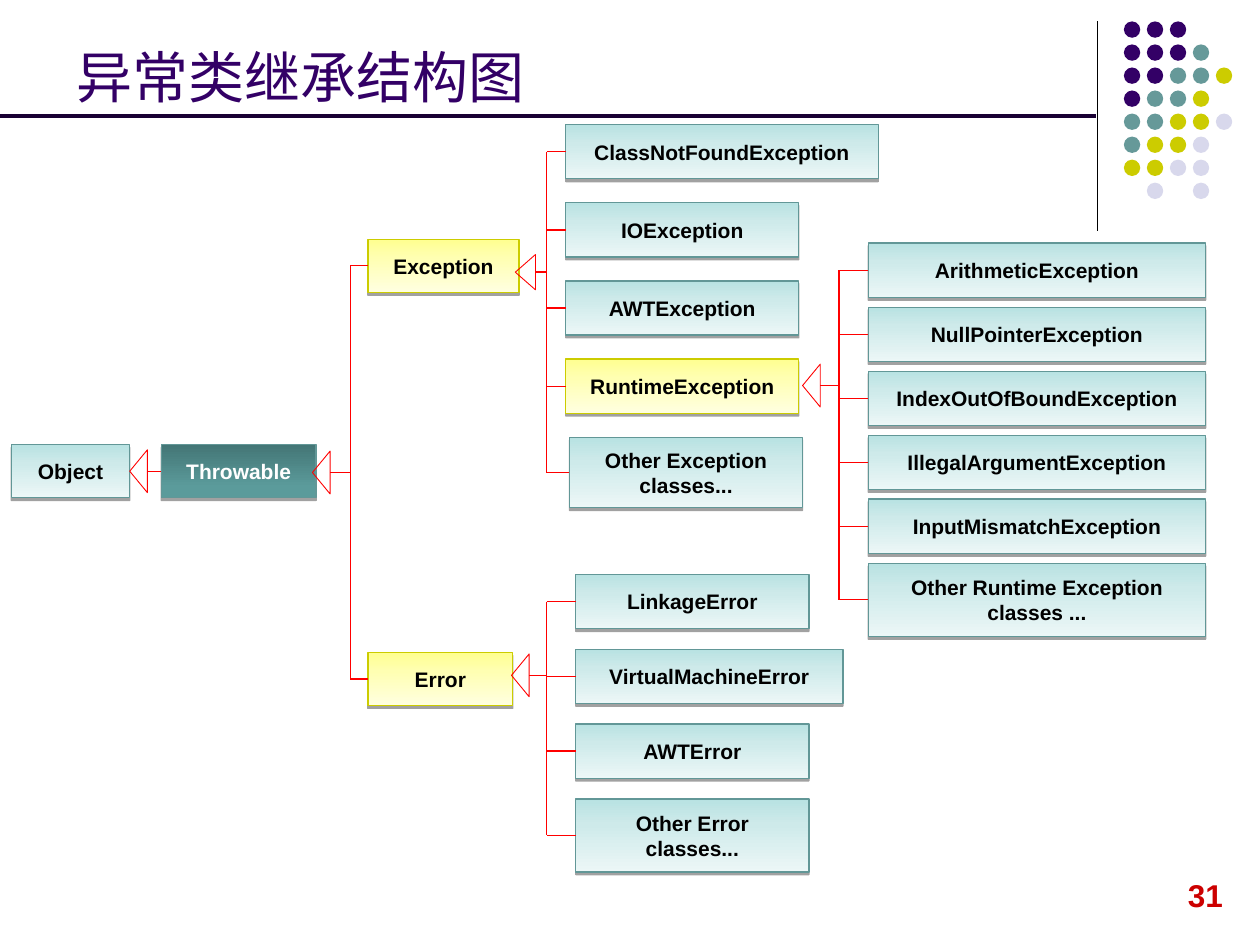
from copy import deepcopy

from lxml.etree import SubElement
from pptx import Presentation
from pptx.dml.color import RGBColor
from pptx.enum.shapes import MSO_CONNECTOR, MSO_SHAPE
from pptx.enum.text import MSO_ANCHOR, PP_ALIGN
from pptx.oxml.ns import qn
from pptx.util import Inches, Pt

CELL = Inches(0.1)
COLUMNS, ROWS = 100, 75
LEFT_SIDE = 1

COLORS = {
    "black": "000000", "white": "FFFFFF", "red": "FF0000", "number": "CC0000",
    "purple": "330066", "rule": "190033", "teal": "669999", "olive": "CCCC00",
    "lavender": "D8D8EC", "teal_edge": "629797",
    "pale_top": "B8E2E2", "pale_mid": "CEEAEA", "pale_end": "ECF7F7",
    "yellow_top": "FFFF90", "yellow_mid": "FFFFB2", "yellow_end": "FFFFE0",
    "dark_top": "447676", "dark_mid": "5B9B9B", "dark_end": "5A9D9D",
}
STYLES = {
    "pale": ("teal_edge", "black", 0.35),
    "yellow": ("olive", "black", 0.35),
    "dark": ("teal_edge", "white", 0.8),
}
DOT_ROWS = ["PPP", "PPPT", "PPTTO", "PTTO", "TTOOL", "TOOL", "OOLL", " L L"]
DOT_COLORS = {"P": "purple", "T": "teal", "O": "olive", "L": "lavender"}


def rgb(name):
    """Look up a palette colour."""
    return RGBColor.from_string(COLORS[name])


def cells(*counts):
    """Turn grid counts into slide lengths."""
    return [round(count * CELL) for count in counts]


def write(frame, text, size, color, font="Arial", bold=True, align=None):
    """Fill a text frame with one paragraph and return it."""
    frame.text = text
    paragraph = frame.paragraphs[0]
    paragraph.alignment = align
    paragraph.font.name = font
    paragraph.font.size = Pt(size)
    paragraph.font.bold = bold
    paragraph.font.color.rgb = rgb(color)
    return paragraph


def draw_line(slide, start, end, color="red", width=0.75, target=None):
    """Draw a straight line, joined to the target's left side if given."""
    line = slide.shapes.add_connector(MSO_CONNECTOR.STRAIGHT, *cells(*start, *end))
    if target is not None:
        line.end_connect(target, LEFT_SIDE)
    line.line.color.rgb = rgb(color)
    line.line.width = Pt(width)
    SubElement(line._element.spPr, qn("a:effectLst"))


def paint_gradient(shape, style):
    """Give a class box its three-stop vertical gradient."""
    shape.fill.gradient()
    shape.fill.gradient_angle = 270
    stop_list = shape._element.spPr.find(".//" + qn("a:gsLst"))
    stop_list.append(deepcopy(stop_list[-1]))
    shades = zip(shape.fill.gradient_stops, ("top", "mid", "end"), (0, STYLES[style][2], 1))
    for stop, part, position in shades:
        stop.color.rgb = rgb(f"{style}_{part}")
        stop.position = position


def cast_shadow(shape):
    """Put a sharp shadow just below a class box."""
    shape.shadow.inherit = False
    effects = shape._element.spPr.find(qn("a:effectLst"))
    shadow = SubElement(effects, qn("a:outerShdw"), dist=str(Pt(1.6)), dir="5400000", rotWithShape="0")
    tone = SubElement(shadow, qn("a:srgbClr"), val=COLORS["black"])
    SubElement(tone, qn("a:alpha"), val="37000")


def draw_class(slide, box, name, style="pale"):
    """Draw one class box and return it."""
    shape = slide.shapes.add_shape(MSO_SHAPE.RECTANGLE, *cells(*box))
    edge, ink, _ = STYLES[style]
    paint_gradient(shape, style)
    shape.line.color.rgb = rgb(edge)
    shape.line.width = Pt(0.75)
    cast_shadow(shape)
    shape.text_frame.word_wrap = True
    shape.text_frame.vertical_anchor = MSO_ANCHOR.MIDDLE
    write(shape.text_frame, name, 12, ink, align=PP_ALIGN.CENTER)
    return shape


def draw_arrow(slide, box, tail, target=None):
    """Draw a hollow left-pointing inheritance arrow with a line to column tail."""
    left, top, width, height = box
    middle = top + height / 2
    corner = (left + (width - height) / 2, middle - width / 2)
    head = slide.shapes.add_shape(MSO_SHAPE.ISOSCELES_TRIANGLE, *cells(*corner, height, width))
    head.rotation = 270
    head.shadow.inherit = False
    head.fill.background()
    head.line.color.rgb = rgb("red")
    head.line.width = Pt(0.5)
    draw_line(slide, (left + width, middle), (tail, middle), target=target)


def draw_bracket(slide, spine, children):
    """Join child boxes to a vertical line at column spine."""
    middles = [(child.top + child.height / 2) / CELL for child in children]
    draw_line(slide, (spine, middles[0]), (spine, middles[-1]))
    for child, middle in zip(children, middles):
        draw_line(slide, (spine, middle), (child.left / CELL, middle), target=child)


def draw_family(slide, box, spine, names, last_height, widths=None, styles=None, last_shift=0):
    """Stack sibling classes evenly in a box, the last one taller, and bracket them."""
    left, top, width, height = box
    pitch = (height - last_height) / (len(names) - 1)
    children = []
    for index, name in enumerate(names):
        is_last = index == len(names) - 1
        place = (left + last_shift * is_last, top + index * pitch,
                 (widths or {}).get(name, width), last_height if is_last else 4.3)
        children.append(draw_class(slide, place, name, (styles or {}).get(name, "pale")))
    draw_bracket(slide, spine, children)


def draw_roots(slide, box):
    """Draw Object, Throwable and its two direct subclasses."""
    left, top, width, height = box
    axis = top + 16.3
    draw_class(slide, (left, axis, 9.4, 4.2), "Object")
    throwable = draw_class(slide, (left + 11.9, axis, 12.3, 4.2), "Throwable", "dark")
    branches = [
        draw_class(slide, (left + 28.3, top, 12, 4.2), "Exception", "yellow"),
        draw_class(slide, (left + 28.3, top + height - 4.2, 11.5, 4.2), "Error", "yellow"),
    ]
    draw_bracket(slide, left + 26.9, branches)
    draw_arrow(slide, (left + 9.4, axis + 0.4, 1.4, 3.4), left + 11.9, throwable)
    draw_arrow(slide, (left + 23.9, axis + 0.5, 1.4, 3.4), left + 26.9)


def draw_dots(slide, box):
    """Draw the corner dot pattern."""
    left, top, width, height = box
    size = 1.3
    across, down = (width - size) / 4, (height - size) / (len(DOT_ROWS) - 1)
    for row, marks in enumerate(DOT_ROWS):
        for column, mark in enumerate(marks):
            if mark in DOT_COLORS:
                place = cells(left + column * across, top + row * down, size, size)
                dot = slide.shapes.add_shape(MSO_SHAPE.OVAL, *place)
                dot.shadow.inherit = False
                dot.fill.solid()
                dot.fill.fore_color.rgb = rgb(DOT_COLORS[mark])
                dot.line.fill.background()


def draw_title(slide, box):
    """Write the title above its rule."""
    left, top, width, height = box
    frame = slide.shapes.add_textbox(*cells(*box)).text_frame
    frame.word_wrap = True
    frame.vertical_anchor = MSO_ANCHOR.BOTTOM
    font = "Noto Sans CJK SC"
    heading = write(frame, "异常类继承结构图", 32, "purple", font, bold=False)
    SubElement(heading._p.find(".//" + qn("a:defRPr")), qn("a:ea"), typeface=font)
    draw_line(slide, (0, top + height), (87, top + height), "rule", 2.25)


def draw_number(slide, box):
    """Write the slide number."""
    frame = slide.shapes.add_textbox(*cells(*box)).text_frame
    frame.word_wrap = False
    write(frame, "31", 18, "number")


def main():
    """Build and save the slide."""
    deck = Presentation()
    deck.slide_width, deck.slide_height = cells(COLUMNS, ROWS)
    slide = deck.slides.add_slide(deck.slide_layouts[6])
    draw_line(slide, (87.1, 1.7), (87.1, 18.3), "black")
    draw_dots(slide, (89.2, 1.7, 8.6, 14.1))
    draw_number(slide, (93.3, 69, 4.8, 4))
    draw_title(slide, (5.1, 1.3, 82.5, 7.9))
    draw_roots(slide, (0.9, 19, 40.3, 37))
    draw_family(slide, (44.9, 9.9, 18.5, 30.4), 43.4,
                ["ClassNotFoundException", "IOException", "AWTException",
                 "RuntimeException", "Other Exception classes..."], 5.6,
                widths={"ClassNotFoundException": 24.8},
                styles={"RuntimeException": "yellow"}, last_shift=0.3)
    draw_family(slide, (45.7, 45.6, 18.5, 23.6), 43.4,
                ["LinkageError", "VirtualMachineError", "AWTError", "Other Error classes..."],
                5.8, widths={"VirtualMachineError": 21.2})
    draw_family(slide, (68.9, 19.3, 26.8, 31.2), 66.6,
                ["ArithmeticException", "NullPointerException", "IndexOutOfBoundException",
                 "IllegalArgumentException", "InputMismatchException",
                 "Other Runtime Exception classes ..."], 5.8)
    draw_arrow(slide, (40.9, 20.2, 1.6, 2.8), 43.4)
    draw_arrow(slide, (40.6, 51.9, 1.4, 3.4), 43.4)
    draw_arrow(slide, (63.7, 28.9, 1.4, 3.4), 66.6)
    deck.save("out.pptx")


if __name__ == "__main__":
    main()
